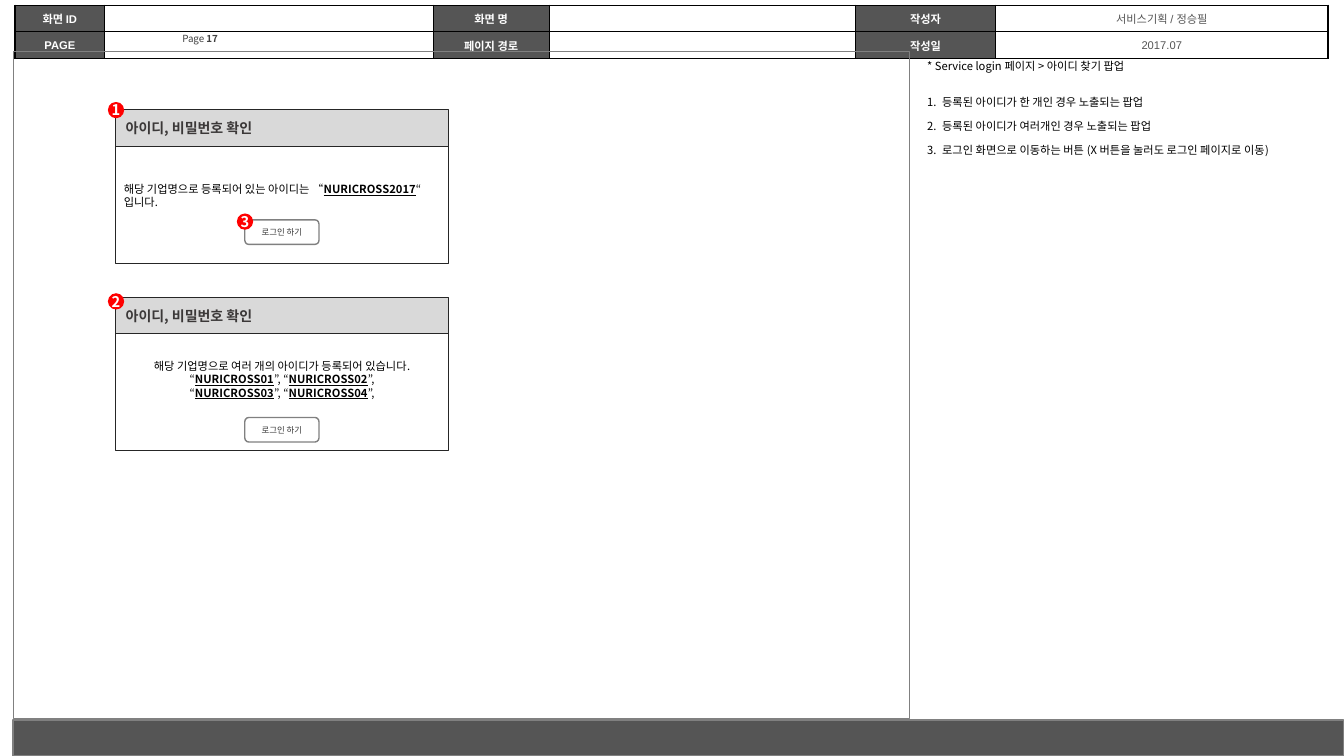
"""Build the account lookup popup page of a screen design document."""
from lxml.etree import SubElement as Sub
from pptx import Presentation
from pptx.dml.color import RGBColor
from pptx.enum.shapes import MSO_SHAPE as Form
from pptx.enum.text import MSO_ANCHOR as Anchor, MSO_AUTO_SIZE as Fit, PP_ALIGN as Align
from pptx.oxml.ns import qn
from pptx.util import Cm, Pt

SANS = "Noto Sans CJK KR"
BLACK = RGBColor(0x00, 0x00, 0x00)
WHITE = RGBColor(0xFF, 0xFF, 0xFF)
DARK = RGBColor(0x55, 0x55, 0x55)
GRAY = RGBColor(0x80, 0x80, 0x80)
PALE = RGBColor(0xD9, 0xD9, 0xD9)
EDGE = RGBColor(0x26, 0x26, 0x26)
HEAD = RGBColor(0x3B, 0x38, 0x38)
INK = RGBColor(0x37, 0x37, 0x37)
PAGE = RGBColor(0x40, 0x40, 0x40)
RED = RGBColor(0xFF, 0x00, 0x00)


def write(frame, text, size=8, color=BLACK, bold=False, under=False,
          align=Align.LEFT, font=SANS, pitch=None):
    """Write lines of text, with the parts between bars in bold."""
    for row, line in enumerate(text.split("\n")):
        par = frame.add_paragraph() if row else frame.paragraphs[0]
        par.alignment = align
        if pitch:
            par.line_spacing = Pt(pitch)
        for num, part in enumerate(line.split("|")):
            if not part:
                continue
            mark = num % 2 == 1
            run = par.add_run()
            run.text = part
            run.font.size = Pt(size)
            run.font.name = font
            run.font.bold = bold or mark
            run.font.underline = under and mark
            run.font.color.rgb = color
            Sub(run.font._element, qn("a:ea"), typeface=SANS)


def draw(form, left, top, width, height, fill=None, edge=None, weight=0.75):
    """Add a plain shape with a centred text area."""
    shape = slide.shapes.add_shape(form, Cm(left), Cm(top), Cm(width), Cm(height))
    shape.shadow.inherit = False
    if fill is None:
        shape.fill.background()
    else:
        shape.fill.solid()
        shape.fill.fore_color.rgb = fill
    if edge is None:
        shape.line.fill.background()
    else:
        shape.line.color.rgb = edge
        shape.line.width = Pt(weight)
    shape.text_frame.vertical_anchor = Anchor.MIDDLE
    return shape.text_frame


deck = Presentation()
deck.slide_width, deck.slide_height = Cm(33.87), Cm(19.05)
slide = deck.slides.add_slide(deck.slide_layouts[1])
title = slide.shapes.title.element
title.getparent().remove(title)

rows = [
    ["화면 ID", "", "화면 명", "", "작성자", "서비스기획 / 정승필"],
    ["PAGE", "", "페이지 경로", "", "작성일", "2017.07"],
]
spans = [2.26, 8.28, 2.92, 7.72, 3.53, 8.38]
table = slide.shapes.add_table(2, 6, Cm(0.38), Cm(0.13), Cm(sum(spans)), Cm(1.3)).table
table.first_row = table.horz_banding = False
for col, span in zip(table.columns, spans):
    col.width = Cm(span)
for y, row in enumerate(rows):
    table.rows[y].height = Cm(0.65)
    for x, text in enumerate(row):
        label = x % 2 == 0
        cell = table.cell(y, x)
        cell.margin_left = cell.margin_right = Cm(0.28)
        cell.margin_top = cell.margin_bottom = Cm(0.13)
        cell.vertical_anchor = Anchor.MIDDLE
        props = cell._tc.get_or_add_tcPr()
        for side in ("lnL", "lnR", "lnT", "lnB"):
            line = Sub(props, qn("a:" + side), w=str(Pt(1)))
            Sub(Sub(line, qn("a:solidFill")), qn("a:srgbClr"), val=str(BLACK))
        cell.fill.solid()
        cell.fill.fore_color.rgb = DARK if label else WHITE
        if text:
            write(cell.text_frame, text, color=WHITE if label else DARK, bold=label,
                  align=Align.CENTER, font="Arial")
        else:
            Sub(cell.text_frame.paragraphs[0]._p, qn("a:endParaRPr"), sz="800")

draw(Form.RECTANGLE, 0.33, 1.3, 22.58, 16.81, edge=GRAY)
draw(Form.RECTANGLE, 0.33, 18.14, 33.53, 0.91, DARK, GRAY, 1)

page = slide.shapes.add_textbox(Cm(3.23), Cm(0.66), Cm(3.63), Cm(0.64)).text_frame
page.word_wrap = True
page.vertical_anchor = Anchor.MIDDLE
write(page, "Page |17", size=7, color=PAGE, align=Align.CENTER)

body = slide.placeholders[1]
body.left, body.top, body.width, body.height = Cm(23.11), Cm(1.4), Cm(10.36), Cm(16.43)
notes = body.text_frame
notes.auto_size = Fit.NONE
write(notes, "* Service login 페이지 > 아이디 찾기 팝업\n"
      "등록된 아이디가 한 개인 경우 노출되는 팝업\n"
      "등록된 아이디가 여러개인 경우 노출되는 팝업\n"
      "로그인 화면으로 이동하는 버튼 (X 버튼을 눌러도 로그인 페이지로 이동)", pitch=8.6)
for num, par in enumerate(notes.paragraphs):
    par.space_before = Pt([0, 17.1, 8.5, 8.5][num])
    props = par._p.get_or_add_pPr()
    dent = Cm(0.38) if num else 0
    props.set("marL", str(dent))
    props.set("indent", str(-dent))
    if num:
        Sub(props, qn("a:buFont"), typeface=SANS)
        Sub(props, qn("a:buAutoNum"), type="arabicPeriod")
    else:
        Sub(props, qn("a:buNone"))

popups = [
    (2.77, 5.54, 2.87, 4.47, 8.1, Align.LEFT,
     "해당 기업명으로 등록되어 있는 아이디는 “|NURICROSS2017|“ 입니다."),
    (7.49, 10.52, 2.92, 8.92, 8.38, Align.CENTER,
     "해당 기업명으로 여러 개의 아이디가 등록되어 있습니다.\n"
     "“|NURICROSS01|”, “|NURICROSS02|”,\n“|NURICROSS03|”, “|NURICROSS04|”,"),
]
for top, low, left, high, width, align, text in popups:
    head = draw(Form.RECTANGLE, 2.92, top, 8.38, 0.92, PALE, EDGE)
    write(head, "아이디, 비밀번호 확인", size=10, color=HEAD, bold=True)
    draw(Form.RECTANGLE, 2.92, top + 0.92, 8.38, 2.95, edge=EDGE)
    button = draw(Form.ROUNDED_RECTANGLE, 6.17, low, 1.87, 0.62, WHITE, GRAY, 1)
    write(button, "로그인 하기", size=6, color=INK, align=Align.CENTER)
    note = slide.shapes.add_textbox(Cm(left), Cm(high), Cm(width), Cm(1.27)).text_frame
    note.word_wrap = True
    write(note, text, under=True, align=align, pitch=9.6)

for num, (left, top) in enumerate([(2.72, 2.57), (2.72, 7.39), (5.97, 5.38)], 1):
    badge = draw(Form.OVAL, left, top, 0.41, 0.41, RED)
    badge.margin_left = badge.margin_right = badge.margin_top = badge.margin_bottom = 0
    badge.word_wrap = False
    write(badge, str(num), size=10.5, color=WHITE, bold=True, align=Align.CENTER)

deck.save("out.pptx")
